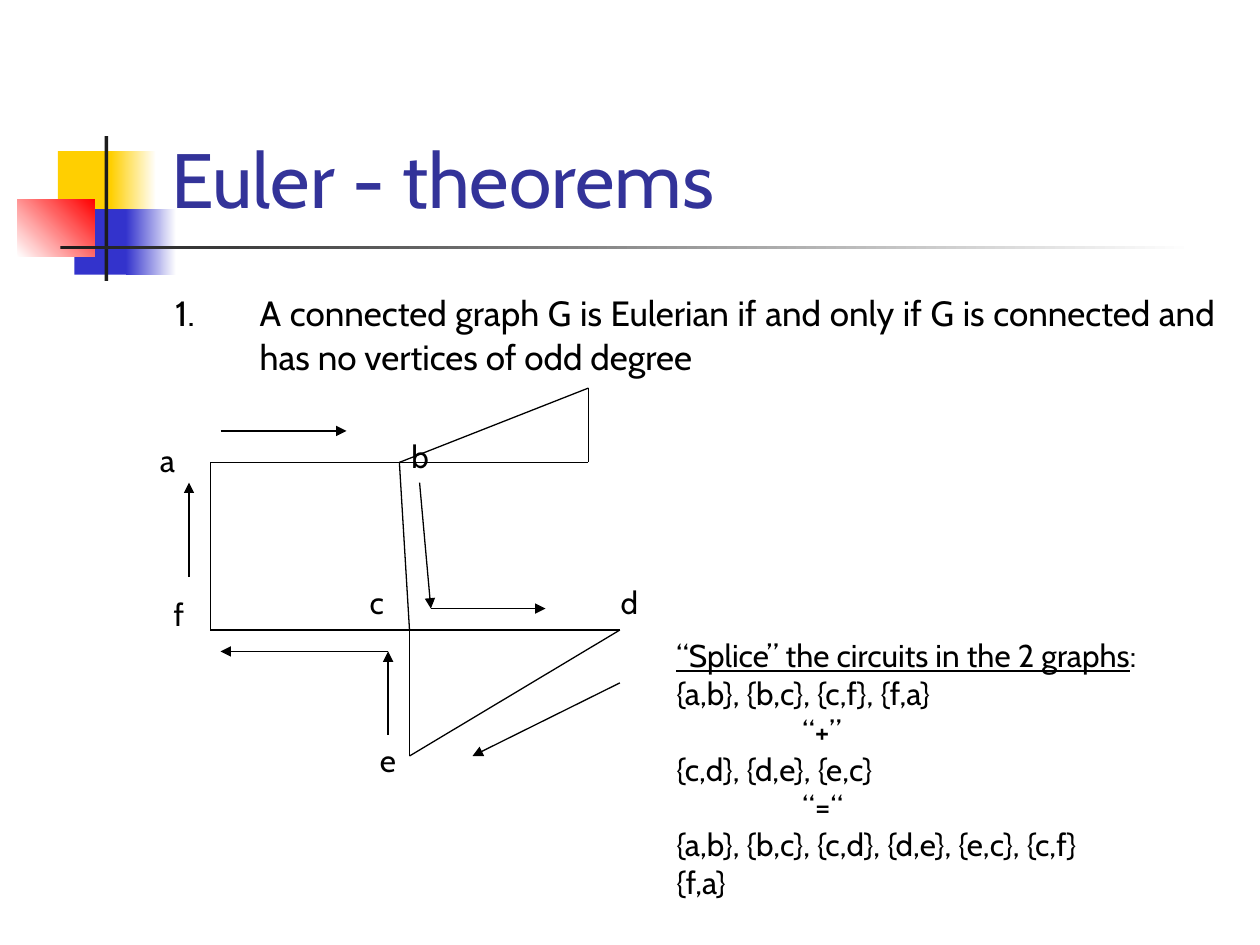
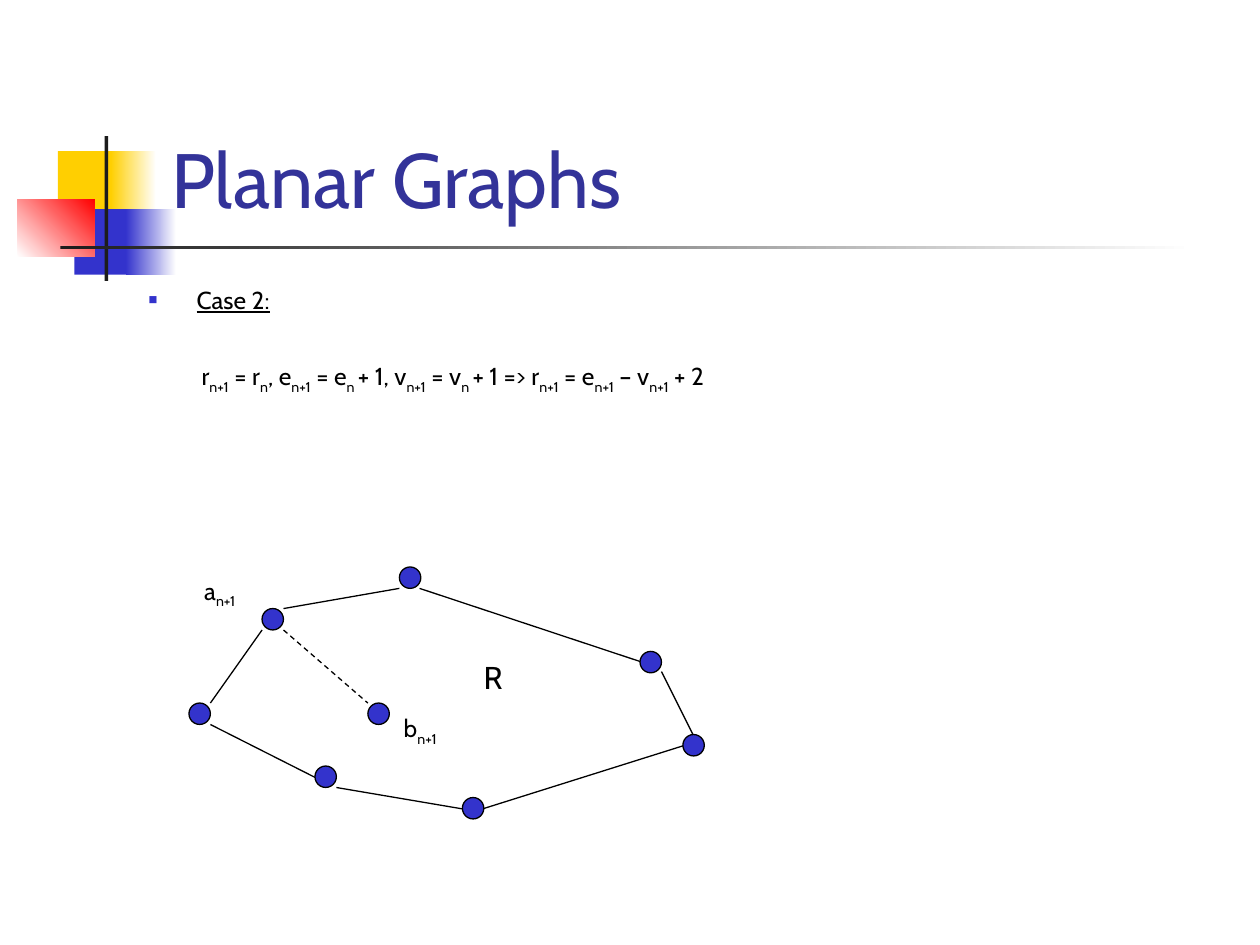
from typing import NamedTuple, Optional

from lxml.etree import SubElement
from pptx import Presentation
from pptx.dml.color import RGBColor
from pptx.enum.dml import MSO_LINE
from pptx.enum.shapes import MSO_CONNECTOR, MSO_SHAPE
from pptx.enum.text import MSO_ANCHOR, MSO_AUTO_SIZE, PP_ALIGN
from pptx.oxml.ns import qn
from pptx.util import Inches, Pt

BLACK = RGBColor(0x00, 0x00, 0x00)
WHITE = RGBColor(0xFF, 0xFF, 0xFF)
CHARCOAL = RGBColor(0x1C, 0x1C, 0x1C)
YELLOW = RGBColor(0xFF, 0xCF, 0x01)
BLUE = RGBColor(0x33, 0x33, 0xCC)
RED = RGBColor(0xFF, 0x00, 0x00)
TITLE_BLUE = RGBColor(0x33, 0x33, 0x99)

FONT = "Cabin"
LINE_WIDTH = Pt(0.75)
NODE_SIZE = 0.17
NO_WRAP = {"word_wrap": False, "vertical_anchor": MSO_ANCHOR.MIDDLE}
FIT_TEXT = {"word_wrap": False, "auto_size": MSO_AUTO_SIZE.SHAPE_TO_FIT_TEXT}
PLACEHOLDER = {"word_wrap": True, "auto_size": MSO_AUTO_SIZE.NONE}


class Band(NamedTuple):
    left: float
    top: float
    width: float
    height: float
    color: RGBColor
    fade_to: Optional[RGBColor] = None
    angle: float = 0


class Segment(NamedTuple):
    start: tuple
    end: tuple
    arrow: bool = False
    dashed: bool = False


class Label(NamedTuple):
    text: str
    left: float
    top: float
    width: float
    size: int = 18


BANDS = [
    Band(0.46, 1.2, 0.48, 0.52, YELLOW),
    Band(0.88, 1.2, 0.36, 0.52, YELLOW, WHITE),
    Band(0.59, 1.66, 0.46, 0.52, BLUE),
    Band(1, 1.66, 0.4, 0.52, BLUE, WHITE),
    Band(0.14, 1.58, 0.61, 0.46, WHITE, RED, 45),
    Band(0.83, 1.08, 0.03, 1.15, CHARCOAL),
    Band(0.48, 1.95, 9, 0.03, CHARCOAL, WHITE),
]

# Eulerian graph: g and h are the unnamed corners of the upper triangle
VERTICES = {
    "a": (1.67, 3.67), "b": (3.17, 3.67), "c": (3.25, 5), "d": (4.92, 5),
    "e": (3.25, 6), "f": (1.67, 5), "g": (4.67, 3.67), "h": (4.67, 3.08),
}
EDGES = ["ab", "af", "fc", "bc", "cd", "ce", "ed", "bg", "gh", "hb"]
VERTEX_LABELS = [
    Label("a", 1.16, 3.45, 0.34), Label("b", 3.16, 3.42, 0.35),
    Label("c", 2.83, 4.58, 0.32), Label("d", 4.82, 4.58, 0.35),
    Label("e", 2.91, 5.83, 0.34), Label("f", 1.28, 4.67, 0.28),
]
WALK_ARROWS = [
    Segment((1.75, 3.42), (2.75, 3.42), arrow=True),
    Segment((3.08, 5.17), (1.75, 5.17), arrow=True),
    Segment((1.5, 4.58), (1.5, 3.83), arrow=True),
    Segment((3.42, 4.83), (4.33, 4.83), arrow=True),
    Segment((4.92, 5.42), (3.75, 6), arrow=True),
    Segment((3.08, 5.83), (3.08, 5.17), arrow=True),
    Segment((3.33, 3.83), (3.42, 4.83), arrow=True),
]
# Circuit lines with their left indent in inches
SPLICE_LINES = [
    ("{a,b}, {b,c}, {c,f}, {f,a}", 0),
    ("“+”", 1),
    ("{c,d}, {d,e}, {e,c}", 0),
    ("“=“", 1),
    ("{a,b}, {b,c}, {c,d}, {d,e}, {e,c}, {c,f}", 0),
    ("{f,a}", 0),
]

# Planar region R and the new edge inside it
NODES = [(5.42, 5.83), (3.67, 6.33), (2.5, 6.08), (5.08, 5.17),
         (3.17, 4.5), (2.08, 4.83), (1.5, 5.58), (2.92, 5.58)]
REGION_EDGES = [
    Segment((3.17, 4.67), (2.25, 4.83)),
    Segment((2.08, 5), (1.67, 5.58)),
    Segment((1.67, 5.75), (2.5, 6.17)),
    Segment((2.67, 6.25), (3.67, 6.42)),
    Segment((3.83, 6.42), (5.42, 5.92)),
    Segment((5.25, 5.33), (5.5, 5.83)),
    Segment((3.33, 4.67), (5.08, 5.25)),
    Segment((2.25, 5), (2.92, 5.58), dashed=True),
]
REGION_LABELS = [
    Label("R", 3.75, 5.25, 0.33),
    Label("a|n+1", 1.58, 4.58, 0.33, 14),
    Label("b|n+1", 3.17, 5.67, 0.33, 14),
]
# Every second part between bars is a subscript
FORMULA = ("r|n+1| = r|n|, e|n+1| = e|n |+ 1, v|n+1| = v|n |+ 1 => r|n+1"
           "| = e|n+1| – v|n+1| + 2")


def apply(target, formats: dict) -> None:
    for name, value in formats.items():
        setattr(target, name, value)


def place(shape, left: float, top: float, width: float, height: float) -> None:
    lengths = zip(("left", "top", "width", "height"), (left, top, width, height))
    apply(shape, {name: Inches(value) for name, value in lengths})


def add_text(paragraph, text: str, size: int, color: RGBColor = BLACK,
             underline: bool = False) -> None:
    for index, part in enumerate(text.split("|")):
        run = paragraph.add_run()
        run.text = part
        apply(run.font, {"name": FONT, "size": Pt(size), "underline": underline})
        run.font.color.rgb = color
        if index % 2:
            run._r.get_or_add_rPr().set("baseline", "-25000")


def set_indent(paragraph, margin: float, first: float = 0,
               bullet: str = "") -> None:
    properties = paragraph._p.get_or_add_pPr()
    properties.set("marL", str(Inches(margin)))
    properties.set("indent", str(Inches(first)))
    if not bullet:
        SubElement(properties, qn("a:buNone"))
        return
    bullet_color = SubElement(properties, qn("a:buClr"))
    SubElement(bullet_color, qn("a:srgbClr")).set("val", str(BLUE))
    SubElement(properties, qn("a:buSzPct")).set("val", "60000")
    SubElement(properties, qn("a:buChar")).set("char", bullet)


def add_preset(slide, preset, box: tuple, color: RGBColor,
               outline: Optional[RGBColor] = None):
    shape = slide.shapes.add_shape(preset, *map(Inches, box))
    shape.shadow.inherit = False
    shape.fill.solid()
    shape.fill.fore_color.rgb = color
    if outline is None:
        shape.line.fill.background()
    else:
        shape.line.color.rgb = outline
        shape.line.width = LINE_WIDTH
    return shape


def add_band(slide, band: Band):
    shape = add_preset(slide, MSO_SHAPE.RECTANGLE, band[:4], band.color)
    if band.fade_to is not None:
        shape.fill.gradient()
        shape.fill.gradient_angle = band.angle
        for stop, color in zip(shape.fill.gradient_stops, (band.color, band.fade_to)):
            stop.color.rgb = color
    return shape


def add_segment(slide, segment: Segment) -> None:
    connector = slide.shapes.add_connector(
        MSO_CONNECTOR.STRAIGHT, *map(Inches, segment.start + segment.end))
    connector.line.color.rgb = BLACK
    connector.line.width = LINE_WIDTH
    if segment.dashed:
        connector.line.dash_style = MSO_LINE.DASH
    if segment.arrow:
        line = connector.line._get_or_add_ln()
        SubElement(line, qn("a:tailEnd")).set("type", "triangle")
    SubElement(connector._element.spPr, qn("a:effectLst"))


def add_text_box(slide, box: tuple):
    frame = slide.shapes.add_textbox(*map(Inches, box)).text_frame
    apply(frame, FIT_TEXT)
    return frame


def add_vertex_label(slide, label: Label) -> None:
    frame = add_text_box(slide, (label.left, label.top, label.width, 0.4))
    frame.paragraphs[0].alignment = PP_ALIGN.CENTER
    add_text(frame.paragraphs[0], label.text, label.size)


def add_region_label(slide, label: Label) -> None:
    box = (label.left, label.top, label.width, 0.25)
    frame = add_preset(slide, MSO_SHAPE.RECTANGLE, box, WHITE, WHITE).text_frame
    apply(frame, NO_WRAP)
    frame.paragraphs[0].alignment = PP_ALIGN.CENTER
    add_text(frame.paragraphs[0], label.text, label.size)


def add_slide(presentation, title: str, body_left: float, body_width: float):
    slide = presentation.slides.add_slide(presentation.slide_layouts[1])
    heading, body = slide.placeholders
    place(heading, 1.26, 0.23, 8.52, 1.6)
    place(body, body_left, 2.21, body_width, 1.04)
    apply(heading.text_frame, PLACEHOLDER | {"vertical_anchor": MSO_ANCHOR.BOTTOM})
    apply(body.text_frame, PLACEHOLDER | {"vertical_anchor": MSO_ANCHOR.TOP})
    paragraph = heading.text_frame.paragraphs[0]
    paragraph.alignment = PP_ALIGN.LEFT
    add_text(paragraph, title, 44, TITLE_BLUE)
    return slide, body.text_frame


def move_bands_to_layout(slide) -> None:
    layout_tree = slide.slide_layout.shapes._spTree
    for band in BANDS:
        layout_tree.append(add_band(slide, band)._element)


def build_euler_slide(presentation) -> None:
    slide, body = add_slide(presentation, "Euler - theorems", 1.29, 8.46)
    move_bands_to_layout(slide)

    # Theorem
    theorem = body.paragraphs[0]
    set_indent(theorem, 0.67, -0.67)
    apply(theorem, {"alignment": PP_ALIGN.JUSTIFY, "space_before": Pt(0)})
    add_text(theorem, "1.", 20)
    add_text(theorem, "\t", 24)
    add_text(theorem, "A connected graph G is Eulerian if and only if G is "
             "connected and has no vertices of odd degree", 20)

    # Graph and walking directions
    for start, end in EDGES:
        add_segment(slide, Segment(VERTICES[start], VERTICES[end]))
    for label in VERTEX_LABELS:
        add_vertex_label(slide, label)
    for arrow in WALK_ARROWS:
        add_segment(slide, arrow)

    # Spliced circuits
    splice = add_text_box(slide, (5.27, 5, 4.31, 2.2))
    add_text(splice.paragraphs[0], "“Splice” the circuits in the 2 graphs", 18,
             underline=True)
    add_text(splice.paragraphs[0], ":", 18)
    for text, margin in SPLICE_LINES:
        paragraph = splice.add_paragraph()
        set_indent(paragraph, margin)
        add_text(paragraph, text, 18)


def build_planar_slide(presentation) -> None:
    slide, body = add_slide(presentation, "Planar Graphs", 1.08, 8.71)

    # Case and formula
    case = body.paragraphs[0]
    set_indent(case, 0.38, -0.38, "■")
    case.space_before = Pt(0)
    add_text(case, "Case 2:", 14, underline=True)
    formula = body.add_paragraph()
    set_indent(formula, 0.42)
    formula.space_before = Pt(27)
    add_text(formula, FORMULA, 14)

    # Region
    for edge in REGION_EDGES:
        add_segment(slide, edge)
    for label in REGION_LABELS:
        add_region_label(slide, label)
    for left, top in NODES:
        add_preset(slide, MSO_SHAPE.OVAL, (left, top, NODE_SIZE, NODE_SIZE),
                   BLUE, BLACK)


def main() -> None:
    presentation = Presentation()
    presentation.slide_width = Inches(10)
    presentation.slide_height = Inches(7.5)
    build_euler_slide(presentation)
    build_planar_slide(presentation)
    presentation.save("out.pptx")


if __name__ == "__main__":
    main()
